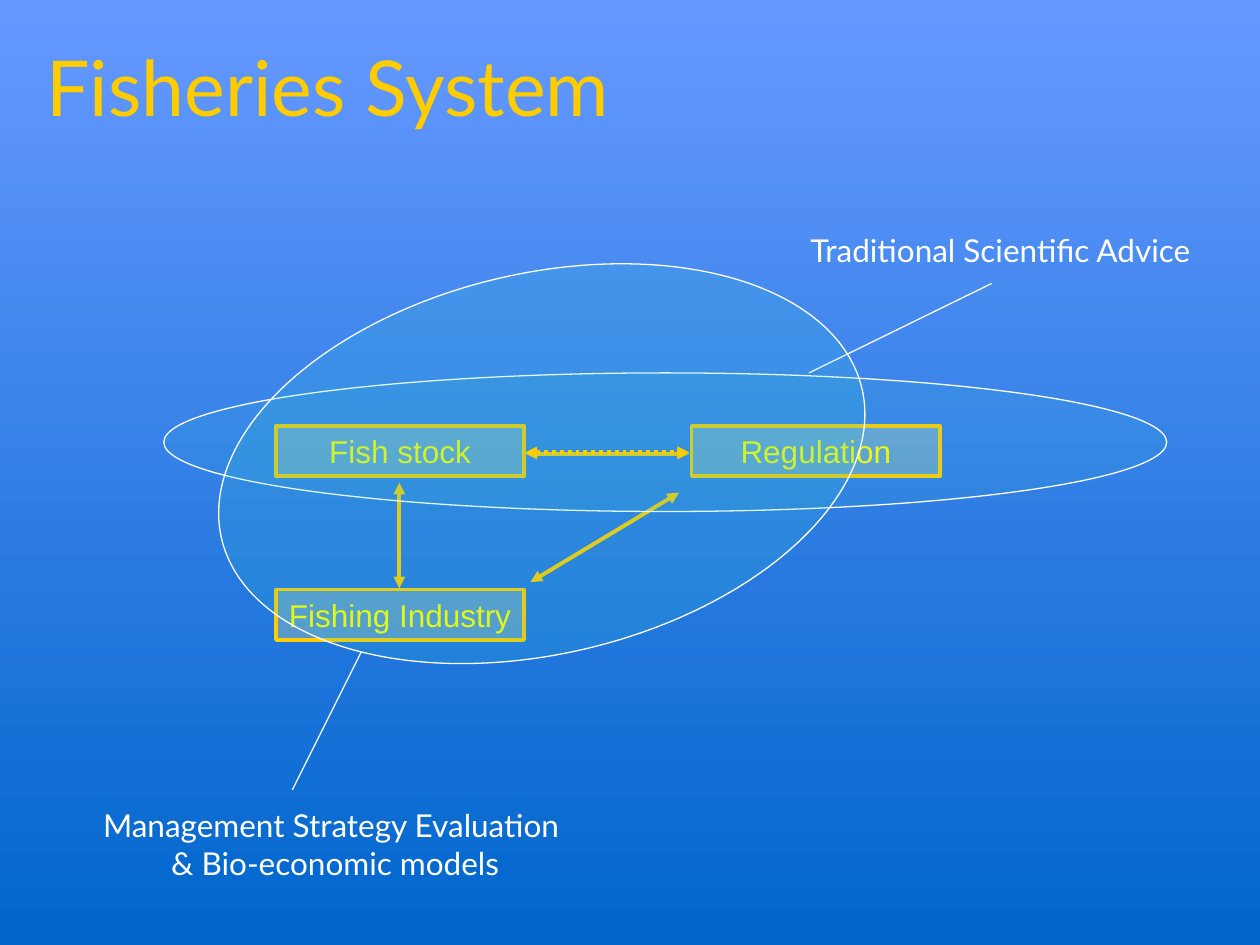
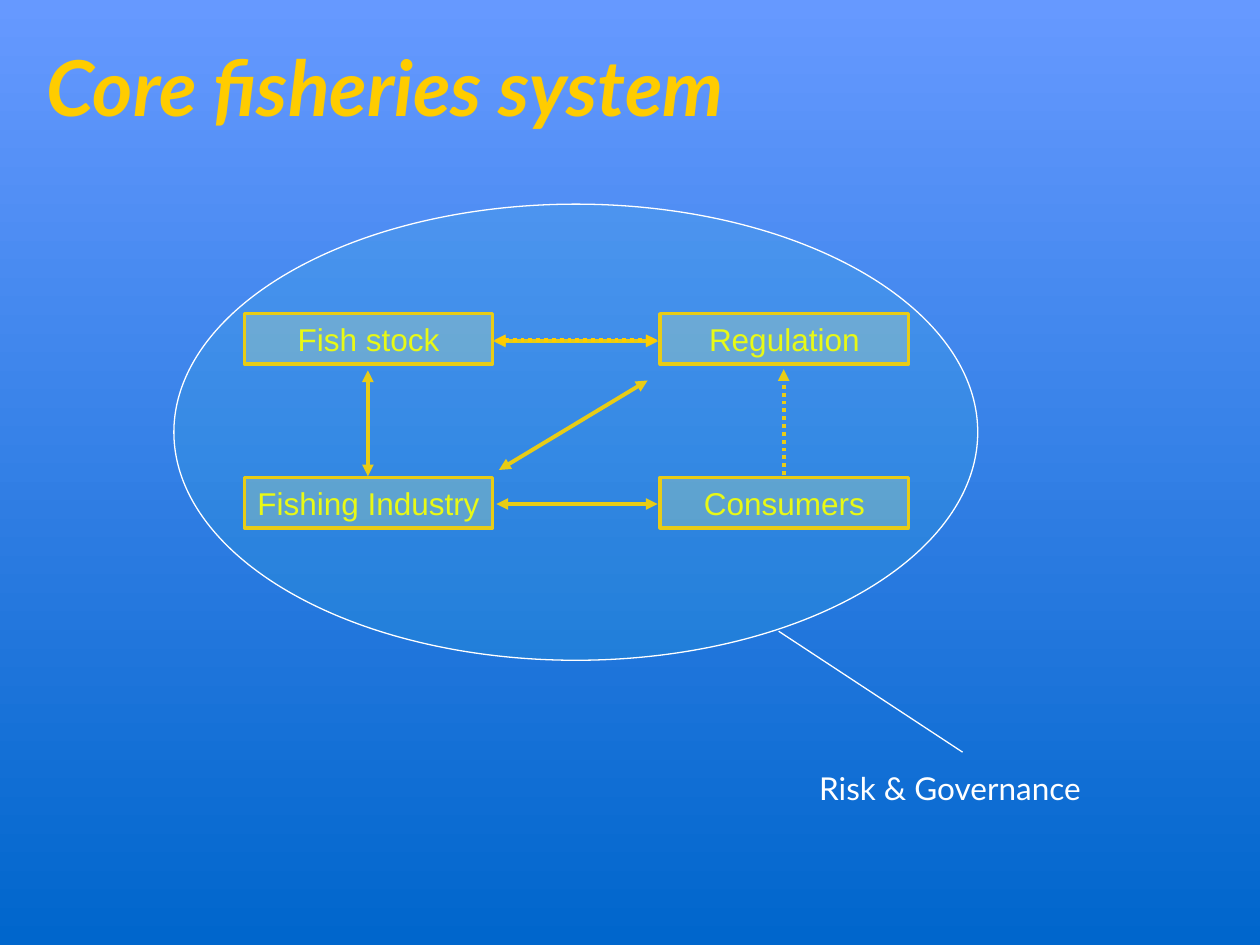
from lxml import etree
from pptx import Presentation
from pptx.dml.color import RGBColor
from pptx.enum.dml import MSO_LINE
from pptx.enum.shapes import MSO_CONNECTOR, MSO_SHAPE
from pptx.enum.text import MSO_ANCHOR, PP_ALIGN
from pptx.oxml.ns import qn
from pptx.util import Inches, Pt

SKY = RGBColor(0x66, 0x99, 0xFF)
SEA = RGBColor(0x00, 0x66, 0xCC)
GOLD = RGBColor(0xFF, 0xCC, 0x00)
YELLOW = RGBColor(0xFF, 0xFF, 0x00)
CREAM = RGBColor(0xFF, 0xFF, 0x99)
TEAL = RGBColor(0x33, 0xCC, 0xCC)
WHITE = RGBColor(0xFF, 0xFF, 0xFF)

RECTANGLE, OVAL = MSO_SHAPE.RECTANGLE, MSO_SHAPE.OVAL
STRAIGHT = MSO_CONNECTOR.STRAIGHT
DOTTED = MSO_LINE.ROUND_DOT
LEFT, CENTER = PP_ALIGN.LEFT, PP_ALIGN.CENTER
MIDDLE = MSO_ANCHOR.MIDDLE

LABEL_FONT, BOX_FONT = "Lato", "Arial"
BOX_WIDTH, BOX_HEIGHT = 1.97, 0.4
COLUMN_STEP, ROW_STEP = 3.3, 1.3


class Deck:
    """Style of the deck and the slide being drawn."""

    def __init__(self):
        self.prs = Presentation()
        self.prs.slide_width, self.prs.slide_height = Inches(10), Inches(7.5)
        self.slide = None
        # Shared background, running from top to bottom
        backdrop = self.prs.slide_master.background.fill
        backdrop.gradient()
        backdrop.gradient_angle = 270
        for stop, color, position in zip(backdrop.gradient_stops, (SKY, SEA), (0, 1)):
            stop.color.rgb = color
            stop.position = position

    def new_slide(self, title, emphasis=False):
        self.slide = self.prs.slides.add_slide(self.prs.slide_layouts[6])
        heading = self.slide.shapes.add_textbox(
            Inches(0.27), Inches(0.21), Inches(9), Inches(0.94))
        self.add_text(heading, [title], LABEL_FONT, 44, GOLD, LEFT, emphasis, wrap=True)

    def add_text(self, holder, lines, font, size, color, align,
                 emphasis=False, wrap=False):
        frame = holder.text_frame
        frame.word_wrap = wrap
        frame.vertical_anchor = MIDDLE
        for index, line in enumerate(lines):
            paragraph = frame.add_paragraph() if index else frame.paragraphs[0]
            paragraph.alignment = align
            run = paragraph.add_run()
            run.text = line
            run.font.name, run.font.size = font, Pt(size)
            run.font.color.rgb = color
            run.font.bold = run.font.italic = emphasis

    def tinted(self, preset, left, top, width, height, fill, alpha, line, weight):
        shape = self.slide.shapes.add_shape(
            preset, Inches(left), Inches(top), Inches(width), Inches(height))
        shape.shadow.inherit = False
        shape.fill.solid()
        shape.fill.fore_color.rgb = fill
        tint = shape.element.spPr.find(qn("a:solidFill"))[0]
        etree.SubElement(tint, qn("a:alpha")).set("val", str(alpha * 1000))
        shape.line.color.rgb = line
        shape.line.width = Pt(weight)
        return shape

    def box(self, left, top, name):
        part = self.tinted(RECTANGLE, left, top, BOX_WIDTH, BOX_HEIGHT,
                           CREAM, 25, GOLD, 2)
        self.add_text(part, [name], BOX_FONT, 18, YELLOW, CENTER)

    def scope(self, left, top, width, height, alpha, rotation=0):
        oval = self.tinted(OVAL, left, top, width, height, TEAL, alpha, WHITE, 0.75)
        oval.rotation = rotation

    def label(self, left, top, width, height, *lines):
        caption = self.slide.shapes.add_textbox(
            Inches(left), Inches(top), Inches(width), Inches(height))
        self.add_text(caption, lines, LABEL_FONT, 18, WHITE, CENTER)

    def line(self, start, end, color=WHITE, weight=0.75):
        link = self.slide.shapes.add_connector(
            STRAIGHT, *(Inches(value) for value in (*start, *end)))
        link.line.color.rgb = color
        link.line.width = Pt(weight)
        etree.SubElement(link.element.spPr, qn("a:effectLst"))
        return link

    def arrow(self, start, end, ends=("headEnd", "tailEnd"), dotted=False):
        link = self.line(start, end, GOLD, 2.25)
        if dotted:
            link.line.dash_style = DOTTED
        outline = link.element.spPr.find(qn("a:ln"))
        for end_tag in ends:
            etree.SubElement(outline, qn("a:" + end_tag)).set("type", "triangle")

    def stock_to_regulation(self, left, top, dotted=False):
        y = top + (0.21 if dotted else 0.22)
        self.arrow((left + 1.98, y), (left + 3.28, y), dotted=dotted)

    def core(self, left, top):
        """Stock, regulation and industry, linked to each other."""
        self.box(left, top, "Fish stock")
        self.box(left + COLUMN_STEP, top, "Regulation")
        self.box(left, top + ROW_STEP, "Fishing Industry")
        self.stock_to_regulation(left, top)
        self.arrow((left + 0.98, top + 0.45), (left + 0.98, top + 1.29))
        self.arrow((left + 2.02, top + 1.24), (left + 3.2, top + 0.53))


def fisheries_system(deck):
    left, top = 2.19, 3.38
    deck.new_slide("Fisheries System")
    deck.core(left, top)
    # Traditional advice
    deck.line((6.42, 2.96), (7.87, 2.25))
    deck.scope(1.3, 2.96, 7.96, 1.1, alpha=10)
    deck.label(6.24, 1.78, 3.4, 0.4, "Traditional Scientific Advice")
    # Management strategy evaluation
    deck.scope(1.69, 2.17, 5.22, 3.02, alpha=15, rotation=346.8)
    deck.line((2.87, 5.17), (2.32, 6.27))
    deck.label(0.57, 6.35, 4.18, 0.7,
               "Management Strategy Evaluation ", "& Bio-economic models")
    deck.stock_to_regulation(left, top, dotted=True)


def core_fisheries_system(deck):
    left, top = 1.94, 2.49
    deck.new_slide("Core fisheries system", emphasis=True)
    deck.core(left, top)
    # Consumers
    deck.box(left + COLUMN_STEP, top + ROW_STEP, "Consumers")
    deck.arrow((3.94, 4), (5.22, 4))
    deck.arrow((6.22, 3.77), (6.22, 2.93), ends=("tailEnd",), dotted=True)
    # Risk and governance
    deck.scope(1.38, 1.62, 6.38, 3.62, alpha=11)
    deck.line((6.18, 5.01), (7.64, 5.97))
    deck.label(6.4, 6.05, 2.28, 0.4, "Risk & Governance")
    deck.stock_to_regulation(left, top, dotted=True)


def main():
    deck = Deck()
    fisheries_system(deck)
    core_fisheries_system(deck)
    deck.prs.save("out.pptx")


if __name__ == "__main__":
    main()
